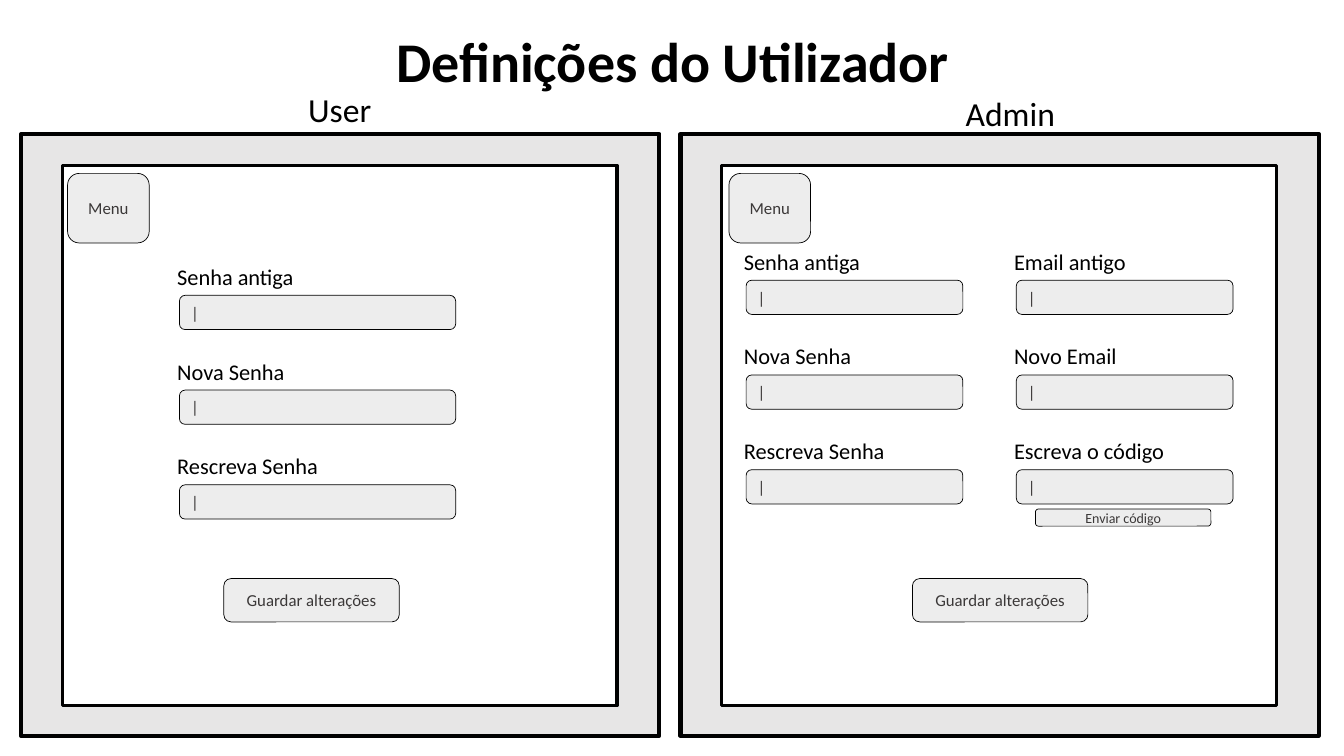
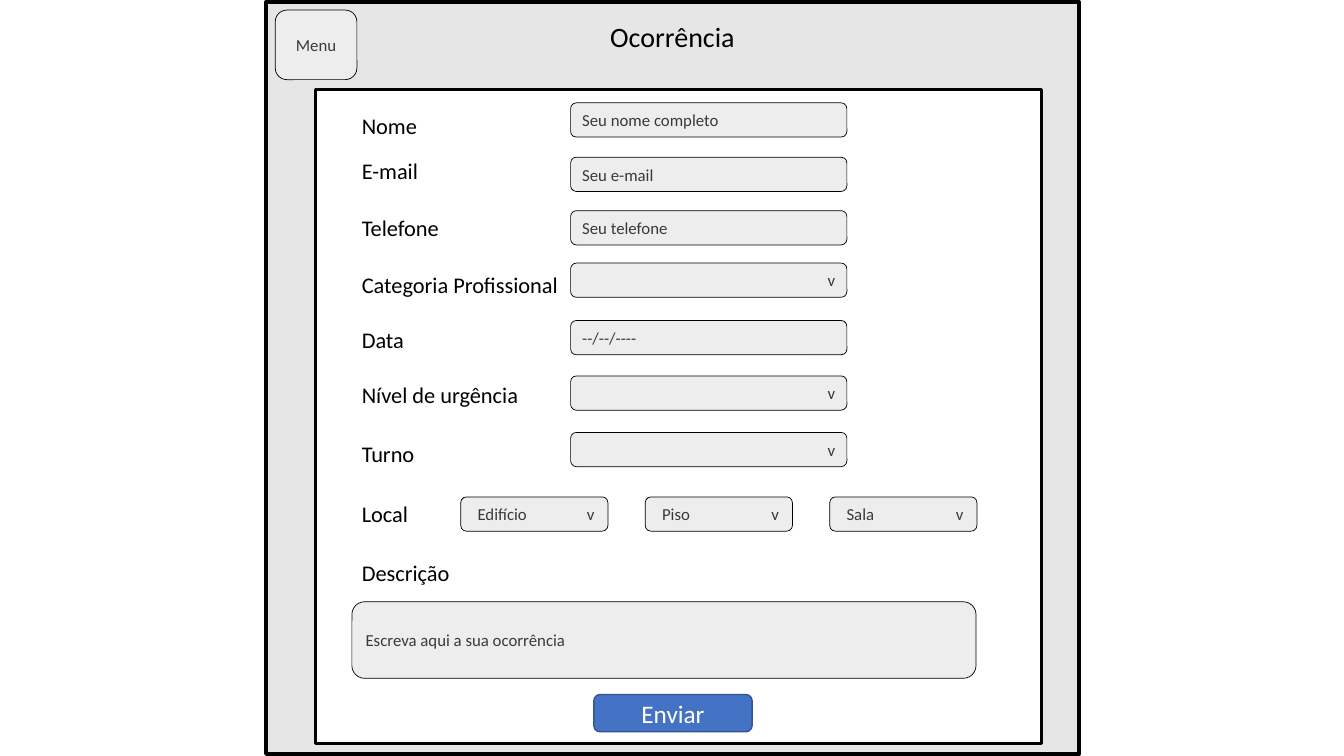
import pptx
import pptx.util
import pptx.dml.color
import pptx.enum.shapes
import pptx.enum.text
import pptx.oxml
import pptx.oxml.ns

Inches = pptx.util.Inches
Pt = pptx.util.Pt
RGBColor = pptx.dml.color.RGBColor
Align = pptx.enum.text.PP_ALIGN
Anchor = pptx.enum.text.MSO_ANCHOR
Kind = pptx.enum.shapes.MSO_SHAPE

BLACK = RGBColor(0x00, 0x00, 0x00)
WHITE = RGBColor(0xFF, 0xFF, 0xFF)
FRAME = RGBColor(0xE7, 0xE6, 0xE6)
FIELD = RGBColor(0xED, 0xED, 0xED)
GREY = RGBColor(0x3B, 0x38, 0x38)
BLUE = RGBColor(0x44, 0x72, 0xC4)
NAVY = RGBColor(0x32, 0x54, 0x91)
FONT = "Calibri"
HIGH = 0.34  # height of an input field


def write(shape, text, size, color=BLACK, align=Align.LEFT, anchor=Anchor.TOP, bold=False):
    frame = shape.text_frame
    frame.word_wrap = True
    frame.vertical_anchor = anchor
    para = frame.paragraphs[0]
    para.alignment = align
    run = para.add_run()
    run.text = text
    run.font.name = FONT
    run.font.size = Pt(size)
    run.font.bold = bold
    run.font.color.rgb = color


def box(slide, x, y, w, h, text="", align=Align.LEFT, size=12, kind=Kind.ROUNDED_RECTANGLE,
        fill=FIELD, line=BLACK, width=0.5, color=GREY):
    """Draw an outlined shape, a form field unless told otherwise."""
    shape = slide.shapes.add_shape(kind, Inches(x), Inches(y), Inches(w), Inches(h))
    shape.shadow.inherit = False
    shape.fill.solid()
    shape.fill.fore_color.rgb = fill
    shape.line.color.rgb = line
    shape.line.width = Pt(width)
    if text:
        write(shape, text, size, color, align, Anchor.MIDDLE)
    return shape


prs = pptx.Presentation()
prs.slide_width = Inches(13.33)
prs.slide_height = Inches(7.5)
user = prs.slides.add_slide(prs.slide_layouts[5])
form = prs.slides.add_slide(prs.slide_layouts[5])

# Frames, each with its white page and menu button
for slide, outer, inner, menu in [
    (user, (0.21, 1.33, 6.33, 5.97), (0.62, 1.64, 5.5, 5.36), (0.67, 1.72)),
    (user, (6.75, 1.33, 6.33, 5.97), (7.16, 1.64, 5.5, 5.36), (7.23, 1.72)),
    (form, (2.64, 0.02, 8.06, 7.46), (3.13, 0.89, 7.2, 6.49), (2.73, 0.1)),
]:
    box(slide, *outer, kind=Kind.RECTANGLE, fill=FRAME, width=3)
    box(slide, *inner, kind=Kind.RECTANGLE, fill=WHITE, width=2.25)
    box(slide, *menu, 0.81, 0.69, "Menu", Align.CENTER)

# Titles, brought in front of the frames
for slide, text, y, h, size, bold in [
    (user, "Definições do Utilizador", 0.21, 0.77, 40, True),
    (form, "Ocorrência", 0.14, 0.44, 20, False),
]:
    title = slide.shapes.title
    title.left, title.top = Inches(3.67), Inches(y)
    title.width, title.height = Inches(6), Inches(h)
    write(title, text, size, align=Align.CENTER, bold=bold)
    title.text_frame.auto_size = pptx.enum.text.MSO_AUTO_SIZE.NONE
    title.element.getparent().append(title.element)

# Slide 1: headings, save buttons and password columns
for text, x, y, save in [("User", 2.73, 0.83, 2.22), ("Admin", 9.38, 0.87, 9.05)]:
    head = user.shapes.add_textbox(Inches(x), Inches(y), Inches(1.28), Inches(0.5))
    write(head, text, 24, align=Align.CENTER)
    box(user, save, 5.74, 1.74, 0.43, "Guardar alterações", Align.CENTER)

labels = []
keys = ["Senha antiga", "Nova Senha", "Rescreva Senha"]
mails = ["Email antigo", "Novo Email", "Escreva o código"]
for x, y, w, names in [(1.66, 2.56, 2.74, keys), (7.28, 2.41, 2.15, keys), (9.96, 2.41, 2.15, mails)]:
    for i, name in enumerate(names):
        top = y + 0.94 * i
        labels.append((user, name, x, top))
        box(user, x + 0.12, top + 0.37, w, HIGH, "|")
box(user, 10.27, 5.05, 1.74, 0.17, "Enviar código", Align.CENTER, size=10)

# Slide 2: form rows
for name, y, top, hint, align in [
    ("Nome", 1.06, 1.02, "Seu nome completo", Align.LEFT),
    ("E-mail", 1.51, 1.56, "Seu e-mail", Align.LEFT),
    ("Telefone", 2.08, 2.09, "Seu telefone", Align.LEFT),
    ("Categoria Profissional", 2.64, 2.61, "v", Align.RIGHT),
    ("Data", 3.19, 3.18, "--/--/----", Align.LEFT),
    ("Nível de urgência", 3.73, 3.73, "v", Align.RIGHT),
    ("Turno", 4.32, 4.29, "v", Align.RIGHT),
]:
    labels.append((form, name, 3.49, y))
    box(form, 5.66, top, 2.74, HIGH, hint, align)
labels += [(form, "Local", 3.49, 4.91), (form, "Descrição", 3.49, 5.5)]

# Place lists: a right tab holds the arrow letter
for i, name in enumerate(["Edifício", "Piso", "Sala"]):
    pick = box(form, 4.57 + 1.83 * i, 4.93, 1.46, HIGH, name + "\tv")
    pick.text_frame.margin_left = Inches(0.15)
    props = pick.text_frame.paragraphs[0]._p.get_or_add_pPr()
    tabs = pptx.oxml.parse_xml("<a:tabLst %s/>" % pptx.oxml.ns.nsdecls("a"))
    tab = tabs.makeelement(pptx.oxml.ns.qn("a:tab"), {"pos": str(Inches(1.16)), "algn": "r"})
    tabs.append(tab)
    props.append(tabs)

box(form, 3.49, 5.97, 6.19, 0.76, "Escreva aqui a sua ocorrência")
box(form, 5.89, 6.89, 1.57, 0.37, "Enviar", Align.CENTER, size=18,
    fill=BLUE, line=NAVY, width=1, color=WHITE)

for slide, name, x, y in labels:
    label = slide.shapes.add_textbox(Inches(x), Inches(y), Inches(2.2), Inches(0.37))
    write(label, name, 16)

prs.save("out.pptx")
